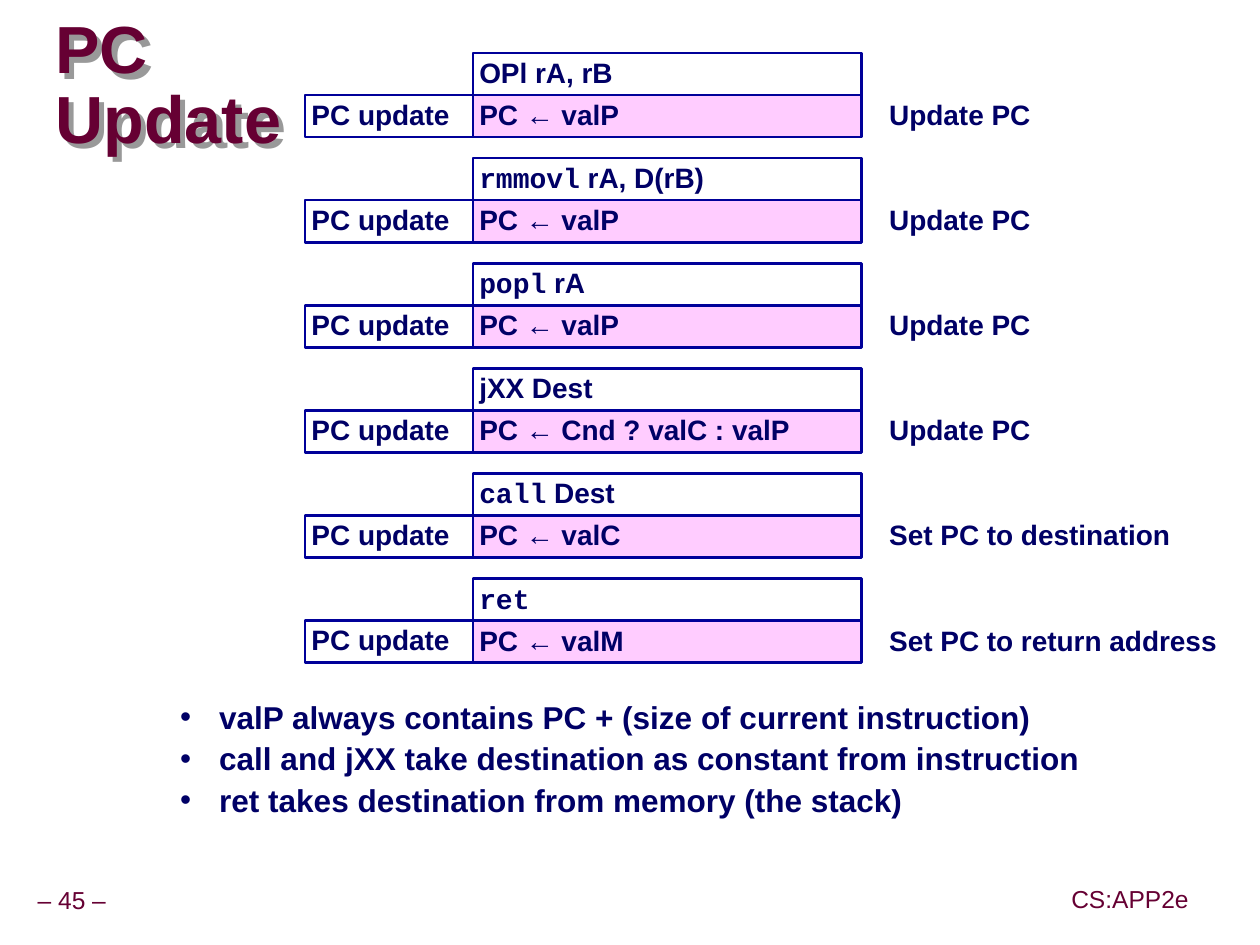
from lxml.etree import SubElement
from pptx import Presentation
from pptx.dml.color import RGBColor
from pptx.enum.shapes import MSO_SHAPE as SHAPE
from pptx.enum.text import MSO_ANCHOR as ANCHOR, PP_ALIGN as ALIGN
from pptx.oxml.ns import qn
from pptx.util import Inches, Pt

NAVY, BLUE, PINK, MAROON, GREY = "000066", "000099", "FFCCFF", "660033", "999999"
SANS, MONO = "Arial", "Courier New"
TOP, PITCH, ROW_H = 0.42, 5 / 6, 1 / 3
LABEL_X, LABEL_W = 2.42, 1.33
CODE_X, CODE_W = 3.75, 3.08
NOTE_X, NOTE_W = 7, 2.95

CELL = dict(size=Pt(16), bold=True, color=NAVY)
TITLE = dict(size=Pt(38), bold=True, color=MAROON)
BULLET = dict(size=Pt(18), bold=True, color=NAVY)
FOOTER = dict(size=Pt(14), bold=False, color=MAROON)

# Instruction in monospace, rest of the heading, new PC value, meaning
INSTRUCTIONS = [
    ("", "OPl rA, rB", "valP", "Update PC"),
    ("rmmovl", " rA, D(rB)", "valP", "Update PC"),
    ("popl", " rA", "valP", "Update PC"),
    ("", "jXX Dest", "Cnd ? valC : valP", "Update PC"),
    ("call", " Dest", "valC", "Set PC to destination"),
    ("ret", "", "valM", "Set PC to return address"),
]
BULLETS = [
    "valP always contains PC + (size of current instruction)",
    "call and jXX take destination as constant from instruction",
    "ret takes destination from memory (the stack)",
]


def rgb(value):
    return RGBColor.from_string(value)


def add_text(p, text, style, font=SANS):
    r = p.add_run()
    r.text = text
    for name, value in style.items():
        if name == "color":
            r.font.color.rgb = rgb(value)
        else:
            setattr(r.font, name, value)
    r.font.name = font


def set_frame(sp, inset=0.05, anchor=ANCHOR.TOP, wrap=True):
    tf = sp.text_frame
    for side in ("left", "top", "right", "bottom"):
        setattr(tf, f"margin_{side}", Inches(inset))
    tf.vertical_anchor = anchor
    tf.word_wrap = wrap
    return tf


def add_box(s, x, y, w, h, **frame):
    sp = s.shapes.add_textbox(Inches(x), Inches(y), Inches(w), Inches(h))
    return sp, set_frame(sp, **frame)


def add_cell(s, x, y, w, parts, fill=None, anchor=ANCHOR.TOP):
    sp = s.shapes.add_shape(SHAPE.RECTANGLE, Inches(x), Inches(y), Inches(w), Inches(ROW_H))
    sp.shadow.inherit = False
    if fill:
        sp.fill.solid()
        sp.fill.fore_color.rgb = rgb(fill)
    else:
        sp.fill.background()
    sp.line.color.rgb = rgb(BLUE)
    sp.line.width = Pt(1.5)
    fill_cell(set_frame(sp, anchor=anchor), parts)


def fill_cell(tf, parts):
    p = tf.paragraphs[0]
    p.alignment = ALIGN.LEFT
    p.line_spacing = 0.9
    for text, font in parts:
        if text:
            add_text(p, text, CELL, font)


def add_title(s):
    sp, tf = add_box(s, 0.44, 0.27, 9.5, 0.85, inset=0, anchor=ANCHOR.MIDDLE)
    p = tf.paragraphs[0]
    p.line_spacing = 0.87
    add_text(p, "PC", TITLE)
    p.add_line_break()
    add_text(p, "Update", TITLE)
    # Hard shadow down and to the right
    effects = SubElement(sp.element.spPr, qn("a:effectLst"))
    shadow = SubElement(effects, qn("a:outerShdw"), dist=str(Inches(0.06)), dir="2700000")
    SubElement(shadow, qn("a:srgbClr"), val=GREY)


def add_instruction(s, y, mnemonic, operands, value, meaning):
    add_cell(s, CODE_X, y, CODE_W, [(mnemonic, MONO), (operands, SANS)])
    y += ROW_H
    add_cell(s, CODE_X, y, CODE_W, [(f"PC ← {value}", SANS)], fill=PINK)
    add_cell(s, LABEL_X, y, LABEL_W, [("PC update", SANS)], anchor=ANCHOR.MIDDLE)
    _, tf = add_box(s, NOTE_X, y, NOTE_W, ROW_H)
    fill_cell(tf, [(meaning, SANS)])


def add_bullets(s):
    _, tf = add_box(s, 1.33, 5.45, 7.4, 1.1)
    tf.margin_left = tf.margin_right = Inches(0.1)
    for i, text in enumerate(BULLETS):
        p = tf.add_paragraph() if i else tf.paragraphs[0]
        p.line_spacing = 1.1
        pPr = p._p.get_or_add_pPr()
        pPr.set("marL", str(Inches(0.31)))
        pPr.set("indent", str(-Inches(0.31)))
        SubElement(pPr, qn("a:buFont"), typeface=SANS)
        SubElement(pPr, qn("a:buChar"), char="•")
        add_text(p, text, BULLET)


def add_footer(s, x, y, w, text):
    _, tf = add_box(s, x, y, w, 0.31, anchor=ANCHOR.MIDDLE, wrap=False)
    p = tf.paragraphs[0]
    p.alignment = ALIGN.CENTER
    p.line_spacing = 0.9
    add_text(p, text, FOOTER)


def main():
    prs = Presentation()
    prs.slide_width, prs.slide_height = Inches(9.99), Inches(7.49)
    s = prs.slides.add_slide(prs.slide_layouts[6])

    # Footer and title
    add_footer(s, 0.24, 6.99, 0.66, "– 45 –")
    add_footer(s, 8.44, 6.98, 1.04, "CS:APP2e")
    add_title(s)

    # PC update stage of each instruction
    for i, instruction in enumerate(INSTRUCTIONS):
        add_instruction(s, TOP + i * PITCH, *instruction)

    # Summary
    add_bullets(s)
    prs.save("out.pptx")


if __name__ == "__main__":
    main()
